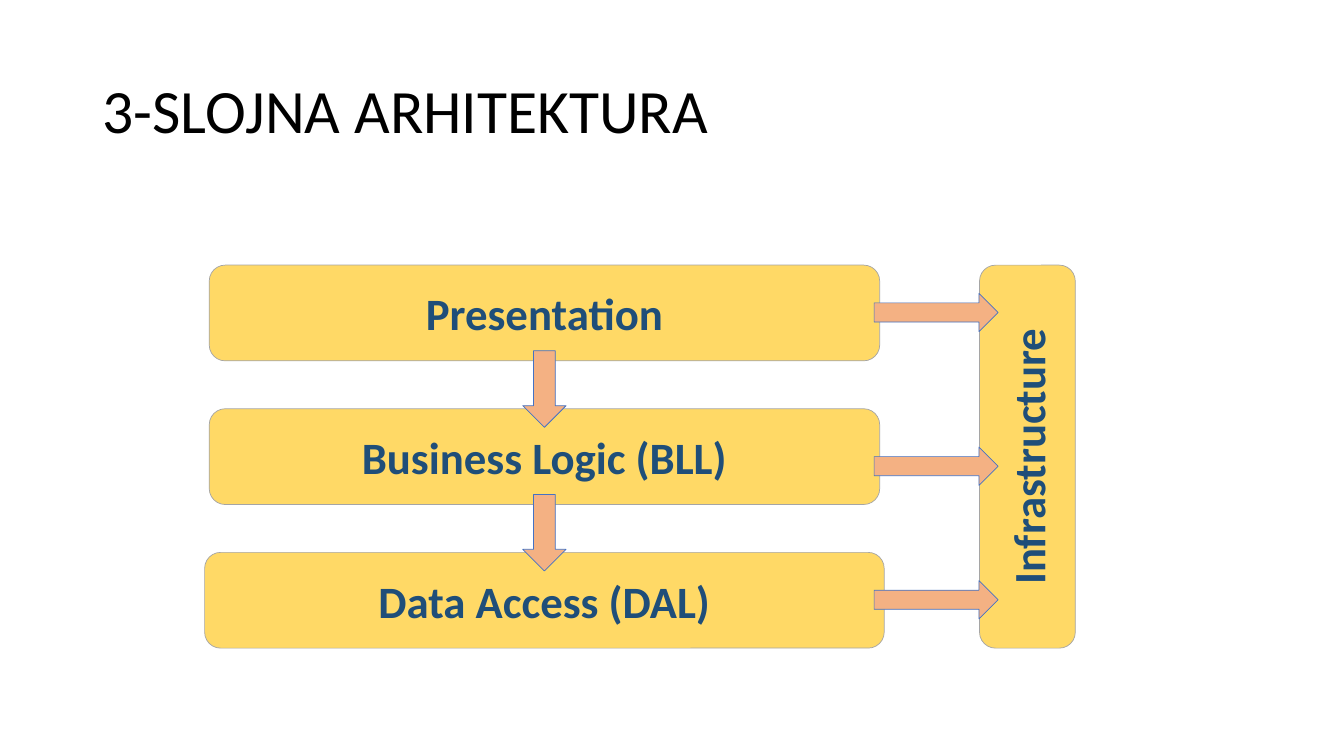
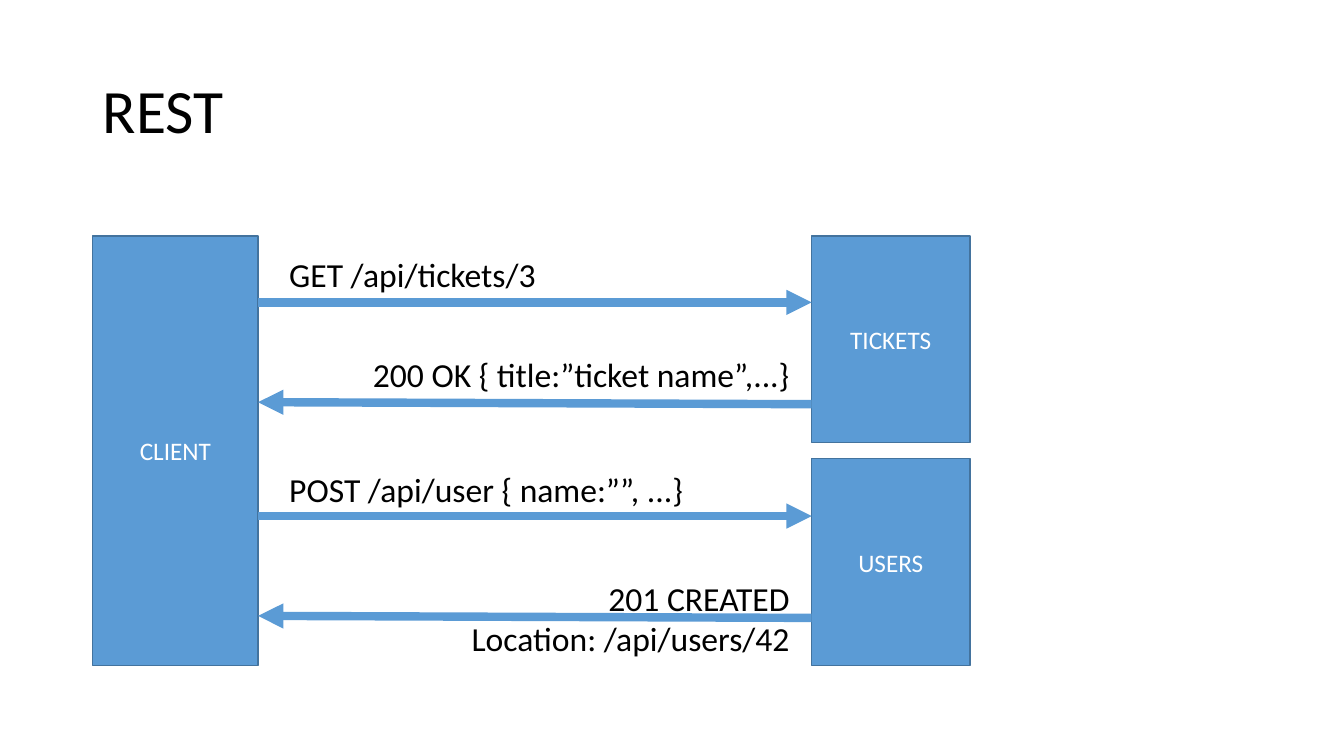
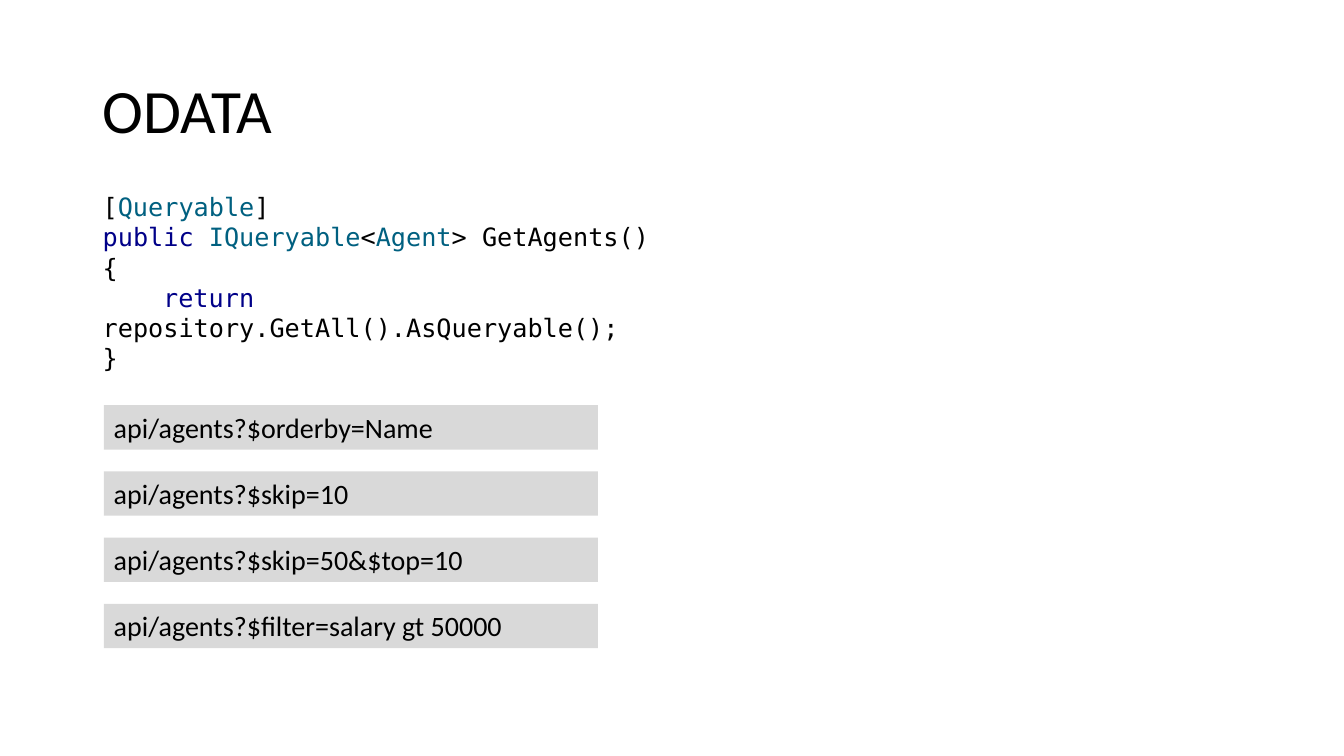
from dataclasses import dataclass
from pptx import Presentation
from pptx.dml.color import RGBColor as RGB
from pptx.enum.shapes import MSO_CONNECTOR as Line, MSO_SHAPE as Form
from pptx.enum.text import MSO_ANCHOR as Anchor, PP_ALIGN as Align
from pptx.oxml.ns import qn
from pptx.util import Inches as In, Pt
from lxml.etree import SubElement as sub


@dataclass(frozen=True)
class Theme:
    wide: float = 13.33
    high: float = 7.5
    font: str = "Calibri"
    mono: str = "DejaVu Sans Mono"
    # Type sizes
    head: int = 44
    layer: int = 32
    call: int = 24
    query: int = 20
    small: int = 18
    # Colours
    ink: str = "000000"
    white: str = "FFFFFF"
    gold: str = "FFD966"
    grey: str = "A5A5A5"
    navy: str = "1F4E79"
    peach: str = "F4B183"
    edge: str = "4472C4"
    blue: str = "5B9BD5"
    steel: str = "43739E"
    pale: str = "D9D9D9"
    kind: str = "006080"
    word: str = "000088"


T = Theme()

# Content: layers as (label, extra width, drop of the side arrow)
LAYERS = [
    ("Presentation", 0, 0.28),
    ("Business Logic (BLL)", 0, 0.38),
    ("Data Access (DAL)", 0.09, 0.28),
]
SIDE = "Infrastructure"

# Content: parts as (label, left, top, width, height)
PARTS = [
    ("CLIENT", 0.92, 2.34, 1.64, 4.26),
    ("TICKETS", 8.05, 2.34, 1.57, 2.05),
    ("USERS", 8.05, 4.55, 1.57, 2.05),
]
# Calls as (text, line height on slide, label top, is reply)
CALLS = [
    ("GET /api/tickets/3", 3.0, 2.47, False),
    ("200 OK { title:”ticket name”,...}", 3.99, 3.46, True),
    ("POST /api/user { name:””, ...}", 5.12, 4.6, False),
    ("201 CREATED\nLocation: /api/users/42", 6.11, 5.68, True),
]

# Content: code lines as (indent in inches, runs)
CODE = [
    (0, [("[", T.ink), ("Queryable", T.kind), ("]", T.ink)]),
    (0, [("public ", T.word), ("IQueryable", T.kind), ("<", T.ink),
         ("Agent", T.kind), ("> GetAgents()", T.ink)]),
    (0, [("{", T.ink)]),
    (0.6, [("return ", T.word), ("repository.GetAll().AsQueryable();", T.ink)]),
    (0, [("}", T.ink)]),
]
QUERIES = [
    "api/agents?$orderby=Name",
    "api/agents?$skip=10",
    "api/agents?$skip=50&$top=10",
    "api/agents?$filter=salary gt 50000",
]


def spread(first, last, count):
    """Evenly spaced positions from first to last."""
    return [first + (last - first) * i / (count - 1) for i in range(count)]


def write(shape, text, size, color=T.ink, font=T.font, bold=False,
          align=Align.LEFT, anchor=Anchor.TOP, lead=None):
    """Fill a shape with plain text, or with (indent, runs) lines."""
    if isinstance(text, str):
        text = [(0, [(line, color)]) for line in text.split("\n")]
    frame = shape.text_frame
    frame.word_wrap = True
    frame.vertical_anchor = anchor
    for i, (dent, runs) in enumerate(text):
        para = frame.add_paragraph() if i else frame.paragraphs[0]
        para.alignment = align
        if lead:
            para.line_spacing = lead
        if dent:
            para._p.get_or_add_pPr().set("indent", str(In(dent)))
        for words, hue in runs:
            run = para.add_run()
            run.text = words
            run.font.name, run.font.size = font, Pt(size)
            run.font.bold = bold
            run.font.color.rgb = RGB.from_string(hue)


def label(slide, box, text, size, **form):
    write(slide.shapes.add_textbox(*map(In, box)), text, size, **form)


def block(slide, form, box, fill, line=None, width=0.5):
    shape = slide.shapes.add_shape(form, *map(In, box))
    shape.shadow.inherit = False
    shape.fill.solid()
    shape.fill.fore_color.rgb = RGB.from_string(fill)
    if line:
        shape.line.color.rgb = RGB.from_string(line)
        shape.line.width = Pt(width)
    else:
        shape.line.fill.background()
    return shape


def arrow(slide, start, end):
    link = slide.shapes.add_connector(Line.STRAIGHT, *map(In, start + end))
    link.line.color.rgb = RGB.from_string(T.blue)
    link.line.width = Pt(6)
    sub(link.line._get_or_add_ln(), qn("a:tailEnd"), type="triangle")
    sub(link._element.spPr, qn("a:effectLst"))


def page(deck, title):
    slide = deck.slides.add_slide(deck.slide_layouts[6])
    label(slide, (0.92, 0.4, 11.5, 1.45), title, T.head,
          anchor=Anchor.MIDDLE, lead=0.9)
    return slide


def layers(deck):
    slide = page(deck, "3-SLOJNA ARHITEKTURA")
    mid, wide, high = 5.4, 6.65, 0.95
    tops = spread(2.63, 5.48, len(LAYERS))
    span = tops[-1] + high - tops[0]
    hub = 10.19, tops[0] + span / 2

    # Layer bars and the upright bar beside them
    bars = [(name, (mid - (wide + more) / 2, top, wide + more, high), 0)
            for (name, more, _), top in zip(LAYERS, tops)]
    bars.append((SIDE, (hub[0] - span / 2, hub[1] - high / 2, span, high), 270))
    for name, box, turn in bars:
        bar = block(slide, Form.ROUNDED_RECTANGLE, box, T.gold, T.grey)
        bar.rotation = turn
        write(bar, name, T.layer, color=T.navy, bold=True,
              align=Align.CENTER, anchor=Anchor.MIDDLE)

    # Arrows down the layers and across to the side
    thick = 0.43
    marks = [(Form.DOWN_ARROW, (mid - thick / 2, top + high - 0.1, thick, 0.76))
             for top in tops[:-1]]
    marks += [(Form.RIGHT_ARROW, (8.67, top + drop, 1.23, 0.38))
              for (_, _, drop), top in zip(LAYERS, tops)]
    for form, box in marks:
        block(slide, form, box, T.peach, T.edge)


def rest(deck):
    slide = page(deck, "REST")
    for name, *box in PARTS:
        part = block(slide, Form.RECTANGLE, box, T.blue, T.steel, 1)
        write(part, name, T.small, color=T.white,
              align=Align.CENTER, anchor=Anchor.MIDDLE)

    # Requests run right, replies run left with a slight rise
    near, far = 2.56, 8.05
    for text, y, top, reply in CALLS:
        high = 0.5 + 0.41 * text.count("\n")
        if reply:
            arrow(slide, (far, y + 0.02), (near, y))
            label(slide, (3.27, top, 4.66, high), text, T.call,
                  align=Align.RIGHT)
        else:
            arrow(slide, (near, y), (far, y))
            label(slide, (2.77, top, 5.04, high), text, T.call)


def odata(deck):
    slide = page(deck, "ODATA")
    label(slide, (0.92, 1.85, 6.67, 1.85), CODE, T.small, font=T.mono)
    for text, top in zip(QUERIES, spread(4.02, 5.99, len(QUERIES))):
        bar = block(slide, Form.RECTANGLE, (1.03, top, 4.9, 0.44), T.pale)
        write(bar, text, T.query)


def main():
    deck = Presentation()
    deck.slide_width, deck.slide_height = In(T.wide), In(T.high)
    for build in (layers, rest, odata):
        build(deck)
    deck.save("out.pptx")


if __name__ == "__main__":
    main()
